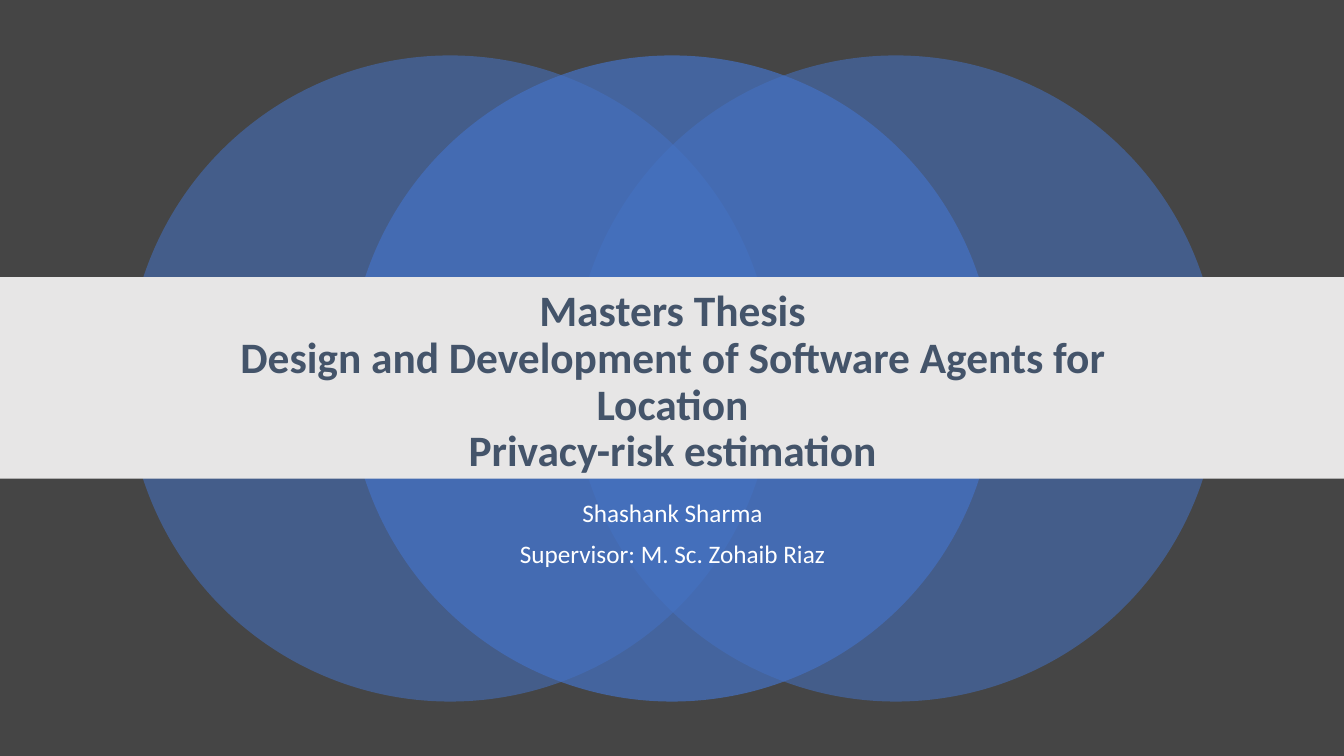
from dataclasses import dataclass

import pptx
import pptx.dml.color
import pptx.enum.shapes
import pptx.enum.text
import pptx.oxml.ns
import pptx.shapes.autoshape
import pptx.slide
import pptx.util
from lxml import etree

Inches = pptx.util.Inches
Shape = pptx.enum.shapes.MSO_SHAPE
Anchor = pptx.enum.text.MSO_ANCHOR


@dataclass(frozen=True)
class Theme:
    background: str = "454545"
    circle: str = "4472C4"
    band: str = "E7E6E6"
    title: str = "44546A"
    subtitle: str = "FFFFFF"
    font: str = "Calibri"
    title_size: float = 31
    subtitle_size: float = 18


@dataclass(frozen=True)
class Box:
    left: float
    top: float
    width: float
    height: float

    def lengths(self) -> tuple[int, int, int, int]:
        return (Inches(self.left), Inches(self.top),
                Inches(self.width), Inches(self.height))


@dataclass(frozen=True)
class Circle:
    left: float
    opacity: int


THEME = Theme()
SLIDE_WIDTH, SLIDE_HEIGHT = 13.33, 7.5
CIRCLE_TOP, DIAMETER = 0.55, 6.41
CIRCLES = (Circle(1.26, 55), Circle(5.68, 55), Circle(3.46, 70))
BAND = Box(0, 2.75, SLIDE_WIDTH, 2)
TITLE = Box(1.67, 3.04, 10, 1.51)
SUBTITLE = Box(1.67, 4.92, 10, 0.83)


def rgb(color: str) -> pptx.dml.color.RGBColor:
    return pptx.dml.color.RGBColor.from_string(color)


def add_filled(slide: pptx.slide.Slide, kind: Shape, box: Box, color: str,
               opacity: int = 100) -> pptx.shapes.autoshape.Shape:
    """Add a borderless shape; opacity is in percent."""
    filled = slide.shapes.add_shape(kind, *box.lengths())
    filled.shadow.inherit = False
    filled.line.fill.background()
    filled.fill.solid()
    filled.fill.fore_color.rgb = rgb(color)
    if opacity < 100:
        qn = pptx.oxml.ns.qn
        fill_color = filled.fill._xPr.find(qn("a:solidFill")).find(qn("a:srgbClr"))
        etree.SubElement(fill_color, qn("a:alpha")).set("val", str(opacity * 1000))
    return filled


def add_text(slide: pptx.slide.Slide, box: Box, paragraphs: list[str], *,
             size: float, color: str, bold: bool = False,
             space_before: float = 0, anchor: Anchor = Anchor.TOP) -> None:
    """Add centred text; a newline inside a paragraph is a line break."""
    frame = slide.shapes.add_textbox(*box.lengths()).text_frame
    frame.word_wrap = True
    frame.vertical_anchor = anchor
    for index, text in enumerate(paragraphs):
        paragraph = frame.add_paragraph() if index else frame.paragraphs[0]
        paragraph.text = text
        paragraph.alignment = pptx.enum.text.PP_ALIGN.CENTER
        paragraph.line_spacing = 0.9
        paragraph.space_before = pptx.util.Pt(space_before)
        for run in paragraph.runs:
            run.font.name = THEME.font
            run.font.size = pptx.util.Pt(size)
            run.font.bold = bold
            run.font.color.rgb = rgb(color)


def main() -> None:
    deck = pptx.Presentation()
    deck.slide_width = Inches(SLIDE_WIDTH)
    deck.slide_height = Inches(SLIDE_HEIGHT)
    slide = deck.slides.add_slide(deck.slide_layouts[6])
    slide.background.fill.solid()
    slide.background.fill.fore_color.rgb = rgb(THEME.background)

    for circle in CIRCLES:
        outline = Box(circle.left, CIRCLE_TOP, DIAMETER, DIAMETER)
        add_filled(slide, Shape.OVAL, outline, THEME.circle, circle.opacity)

    add_text(slide, SUBTITLE, ["Shashank Sharma", "Supervisor: M. Sc. Zohaib Riaz"],
             size=THEME.subtitle_size, color=THEME.subtitle, space_before=10)
    add_filled(slide, Shape.RECTANGLE, BAND, THEME.band)
    add_text(slide, TITLE,
             ["Masters Thesis\n"
              "Design and Development of Software Agents for Location\n"
              "Privacy-risk estimation"],
             size=THEME.title_size, color=THEME.title, bold=True,
             anchor=Anchor.MIDDLE)

    deck.save("out.pptx")


if __name__ == "__main__":
    main()
